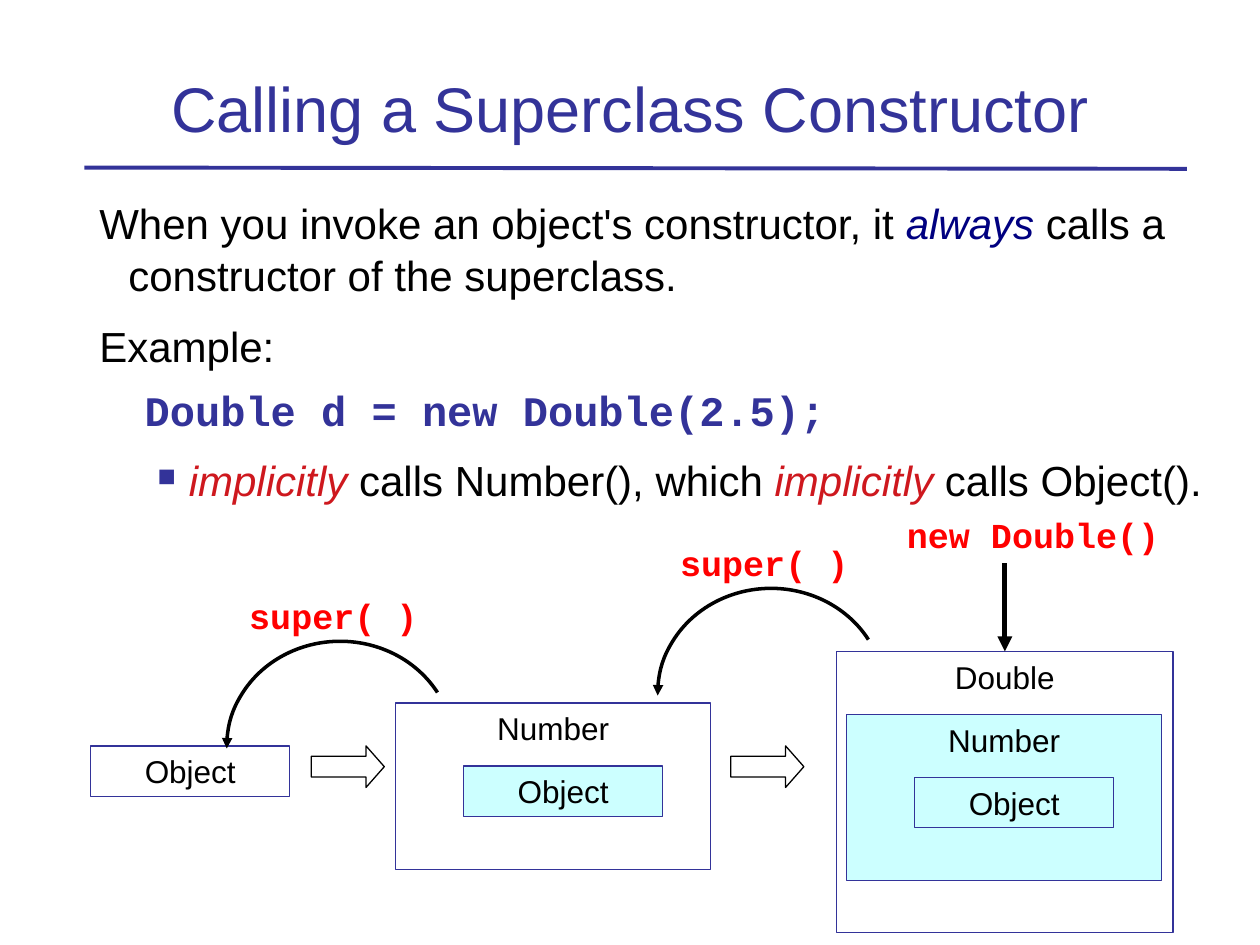
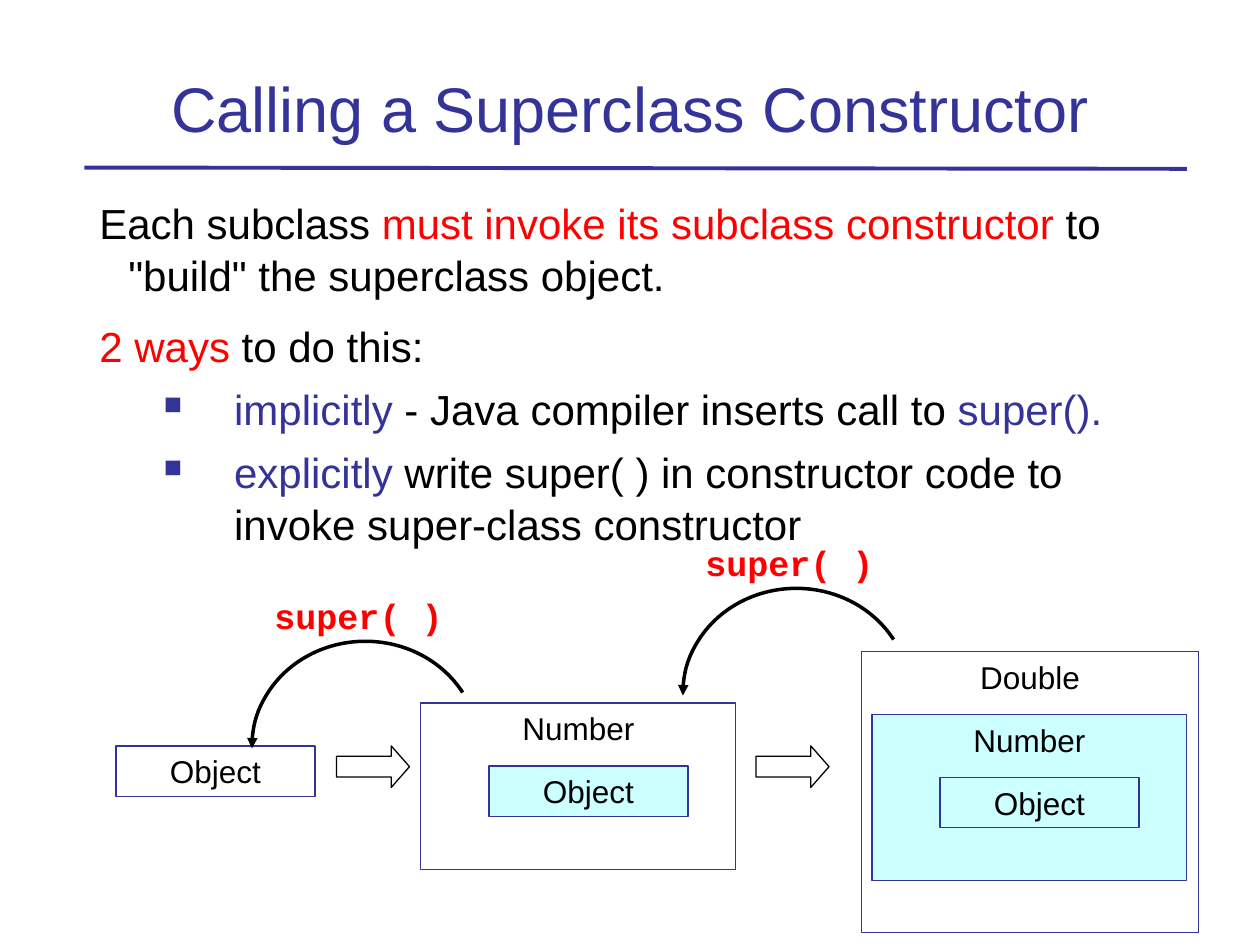
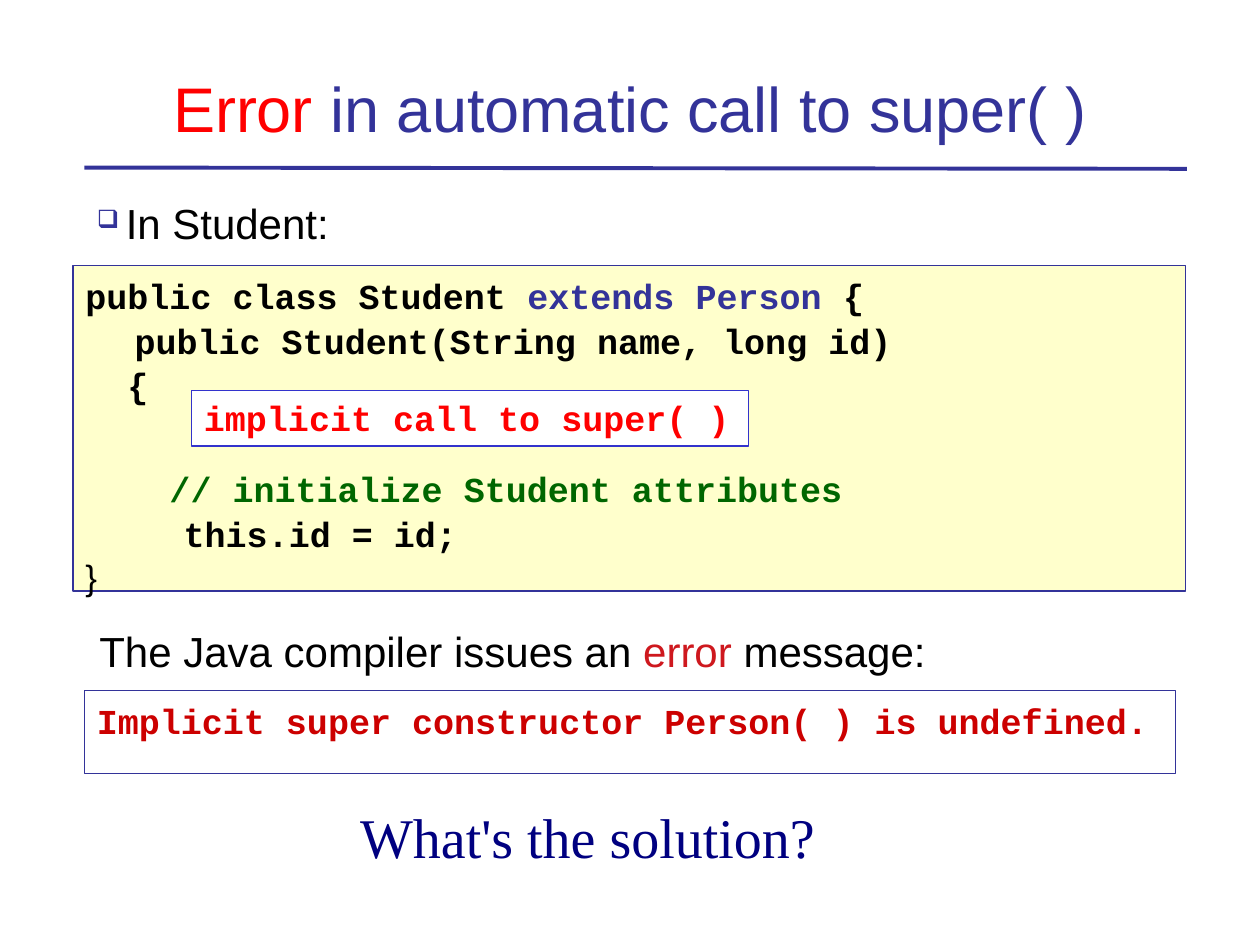
from dataclasses import dataclass

from lxml import etree
from pptx import Presentation
from pptx.dml.color import RGBColor
from pptx.enum import shapes, text
from pptx.oxml.ns import qn
from pptx.util import Inches, Pt

INDIGO, BLACK, RED = "333399", "000000", "FF0000"
NAVY, CRIMSON, DARK_RED, GREEN = "000080", "CE181E", "CC0000", "006600"
AQUA, CREAM, WHITE, BLUE = "CCFFFF", "FFFFCC", "FFFFFF", "3333CC"
SANS, MONO, SERIF = "Arial", "Courier New", "Times New Roman"
CENTER = text.PP_ALIGN.CENTER


@dataclass
class Line:
    """One paragraph: runs are strings or (text, color, italic) tuples."""
    runs: list
    size: float = 24
    font: str = SANS
    color: str = BLACK
    bold: bool = False
    align: object = None
    margin: float = 0
    indent: float = 0
    before: float = 0
    spacing: float = 1.04
    bullet: str = ""


def rgb(color):
    """Turn a hex string into a colour."""
    return RGBColor.from_string(color)


def add_element(parent, tag, **attributes):
    """Append a DrawingML element to a parent."""
    return etree.SubElement(parent, qn(f"a:{tag}"), attributes)


def add_bullet(properties, character):
    """Give a paragraph a small indigo bullet."""
    add_element(add_element(properties, "buClr"), "srgbClr", val=INDIGO)
    add_element(properties, "buSzPct", val="60000")
    add_element(properties, "buChar", char=character)


def write(shape, lines, anchor=text.MSO_ANCHOR.TOP):
    """Fill a shape with formatted paragraphs."""
    frame = shape.text_frame
    frame.word_wrap = True
    frame.vertical_anchor = anchor
    for index, line in enumerate(lines):
        paragraph = frame.add_paragraph() if index else frame.paragraphs[0]
        paragraph.alignment = line.align or text.PP_ALIGN.LEFT
        paragraph.line_spacing = line.spacing
        paragraph.space_before = Pt(line.before if index else 0)
        properties = paragraph._p.get_or_add_pPr()
        properties.set("marL", str(Inches(line.margin)))
        properties.set("indent", str(Inches(line.indent)))
        if line.bullet:
            add_bullet(properties, line.bullet)
        font = paragraph.font
        font.name, font.size, font.bold = line.font, Pt(line.size), line.bold
        font.color.rgb = rgb(line.color)
        for part in line.runs:
            content, color, italic = (part, line.color, False) if isinstance(part, str) else part
            run = paragraph.add_run()
            run.text = content
            run.font.color.rgb = rgb(color)
            if italic:
                run.font.italic = True


def add_text(slide, left, top, width, height, lines, **options):
    """Add a text box with paragraphs."""
    box = slide.shapes.add_textbox(Inches(left), Inches(top), Inches(width), Inches(height))
    write(box, lines, **options)
    return box


def add_preset(slide, kind, left, top, width, height, fill=None, line=INDIGO, weight=0.75):
    """Add an outlined preset shape."""
    shape = slide.shapes.add_shape(kind, Inches(left), Inches(top), Inches(width), Inches(height))
    shape.shadow.inherit = False
    if fill:
        shape.fill.solid()
        shape.fill.fore_color.rgb = rgb(fill)
    else:
        shape.fill.background()
    shape.line.color.rgb = rgb(line)
    shape.line.width = Pt(weight)
    return shape


def add_panel(slide, left, top, width, height, lines, **style):
    """Add a rectangle with paragraphs."""
    panel = add_preset(slide, shapes.MSO_SHAPE.RECTANGLE, left, top, width, height, **style)
    write(panel, lines)
    return panel


def add_line(slide, start, end, color, weight):
    """Add a straight connector between two points."""
    connector = slide.shapes.add_connector(shapes.MSO_CONNECTOR.STRAIGHT, *start, *end)
    connector.line.color.rgb = rgb(color)
    connector.line.width = Pt(weight)
    add_element(connector._element.spPr, "effectLst")
    return connector


def add_arrowhead(shape, end):
    """Put a triangle on headEnd or tailEnd of a line."""
    add_element(shape.line._get_or_add_ln(), end, type="triangle")


def add_slide(presentation, title_runs):
    """Add a slide with the shared title and rule."""
    slide = presentation.slides.add_slide(presentation.slide_layouts[6])
    add_line(slide, (Inches(0.67), Inches(1.33)), (Inches(9.42), Inches(1.34)), INDIGO, 2.25)
    title = Line(title_runs, size=36, color=INDIGO, align=CENTER, spacing=1)
    add_text(slide, 0.67, 0.25, 8.66, 0.95, [title], anchor=text.MSO_ANCHOR.BOTTOM)
    return slide


def red_code(content, align=None):
    """Make a bold red code line."""
    return Line([content], size=20, font=MONO, color=RED, bold=True, align=align, spacing=1)


def add_class_box(slide, name, left, top, fill=None):
    """Add a class box with its superclass objects nested inside."""
    width, height, parent, inset = {
        "Object": (1.58, 0.4, None, 0),
        "Number": (2.5, 1.32, "Object", 0.54),
        "Double": (2.67, 2.23, "Number", 0.08),
    }[name]
    label = Line([name], size=18, align=CENTER, spacing=1)
    box = add_panel(slide, left, top, width, height, [label], fill=fill)
    if parent:
        add_class_box(slide, parent, left + inset, top + 0.5, AQUA)
    return box


def add_super_call(slide, left, top):
    """Add a curved arrow with its super( ) label above."""
    arc = add_preset(slide, shapes.MSO_SHAPE.ARC, left, top + 0.42, 1.8, 1.67, line=BLACK, weight=2)
    for index, degrees in enumerate((179, 331)):
        arc.adjustments[index] = degrees * 0.6
    add_arrowhead(arc, "headEnd")
    add_text(slide, left + 0.08, top, 1.67, 0.44, [red_code("super( )")])


def add_constructor_chain(slide, left, top):
    """Draw Object, Number and Double; return the Double box."""
    add_class_box(slide, "Object", left, top + 1.67)
    add_class_box(slide, "Number", left + 2.42, top + 1.33)
    double_box = add_class_box(slide, "Double", left + 5.92, top + 0.92)
    for offset in (1.75, 5.08):
        arrow = add_preset(slide, shapes.MSO_SHAPE.RIGHT_ARROW, left + offset, top + 1.67,
                           0.58, 0.33, line=BLACK)
        arrow.adjustments[1] = 0.44
    add_super_call(slide, left + 4.5, top)
    add_super_call(slide, left + 1.08, top + 0.42)
    return double_box


def hanging(runs):
    """Make a body paragraph with a hanging indent."""
    return Line(runs, margin=0.25, indent=-0.23, before=10.5)


def build_implicit_call(presentation):
    """Build the slide on the implicit chain of calls."""
    slide = add_slide(presentation, ["Calling a Superclass Constructor"])
    add_text(slide, 0.67, 1.5, 9.02, 3.33, [
        hanging(["When you invoke an object's constructor, it ", ("always", NAVY, True),
                 " calls a constructor of the superclass."]),
        hanging(["Example:"]),
        Line(["Double d = new Double(2.5);"], font=MONO, color=INDIGO, bold=True,
             margin=0.38, before=6, spacing=1.06),
        Line([("implicitly", CRIMSON, True), " calls Number(), which ",
              ("implicitly", CRIMSON, True), " calls Object()."],
             margin=0.73, indent=-0.25, before=10.5, bullet="■"),
    ])
    double_box = add_constructor_chain(slide, 0.72, 4.25)
    add_text(slide, 6.9, 4.03, 2.6, 0.44, [red_code("new Double()", CENTER)])
    middle = double_box.left + double_box.width // 2
    arrow = add_line(slide, (middle, Inches(4.47)), (middle, double_box.top), BLACK, 2.83)
    arrow.end_connect(double_box, 0)
    add_arrowhead(arrow, "tailEnd")


def build_two_ways(presentation):
    """Build the slide on the two ways to call super."""
    slide = add_slide(presentation, ["Calling a Superclass Constructor"])
    ways = [
        [("implicitly", INDIGO, False), " - Java compiler inserts call to ",
         ("super().", INDIGO, False)],
        [("explicitly", INDIGO, False),
         " write super( ) in constructor code to invoke super-class constructor"],
    ]
    add_text(slide, 0.67, 1.5, 8.66, 3.33, [
        hanging(["Each subclass ", ("must invoke its subclass constructor", RED, False),
                 " to \"build\" the superclass object."]),
        hanging([("2 ways", RED, False), " to do this:"]),
        *[Line(way, margin=1.09, indent=-0.56, before=6, bullet="■") for way in ways],
    ])
    add_constructor_chain(slide, 0.92, 4.25)


def code(runs, **options):
    """Make a line of the code listing."""
    return Line(runs, size=20, font=MONO, bold=True, spacing=1.06, **options)


def build_error(presentation):
    """Build the slide on the failing automatic call."""
    slide = add_slide(presentation, [("Error", RED, False), " in automatic call to super( )"])
    add_panel(slide, 0.58, 2.11, 8.83, 2.58, [
        code(["public class Student", (" extends Person", INDIGO, False), " {"]),
        code(["public Student(String name, long id)"], margin=0.39),
        code(["  {"]),
        code(["    // initialize Student attributes"], color=GREEN, before=34),
        code(["this.id = id;"], margin=0.78),
        Line(["}"], size=20),
    ], fill=CREAM)
    add_text(slide, 0.67, 1.5, 8.66, 0.55,
             [Line(["In Student:"], margin=0.23, indent=-0.23, bullet="❑")])
    add_text(slide, 0.67, 4.9, 8.66, 0.58,
             [hanging(["The Java compiler issues an ", ("error", CRIMSON, False), " message:"])])
    add_panel(slide, 0.67, 5.48, 8.66, 0.66,
              [code(["Implicit super constructor Person( ) is undefined."], color=DARK_RED)])
    add_panel(slide, 1.52, 3.1, 4.42, 0.44, [red_code("implicit call to super( )")],
              fill=WHITE, line=BLUE)
    add_text(slide, 2.76, 6.3, 4.09, 1.16,
             [Line(["What's the solution?"], size=32, font=SERIF, color=NAVY)])


def main():
    """Build and save the presentation."""
    presentation = Presentation()
    presentation.slide_width, presentation.slide_height = Inches(10), Inches(7.5)
    build_implicit_call(presentation)
    build_two_ways(presentation)
    build_error(presentation)
    presentation.save("out.pptx")


if __name__ == "__main__":
    main()
